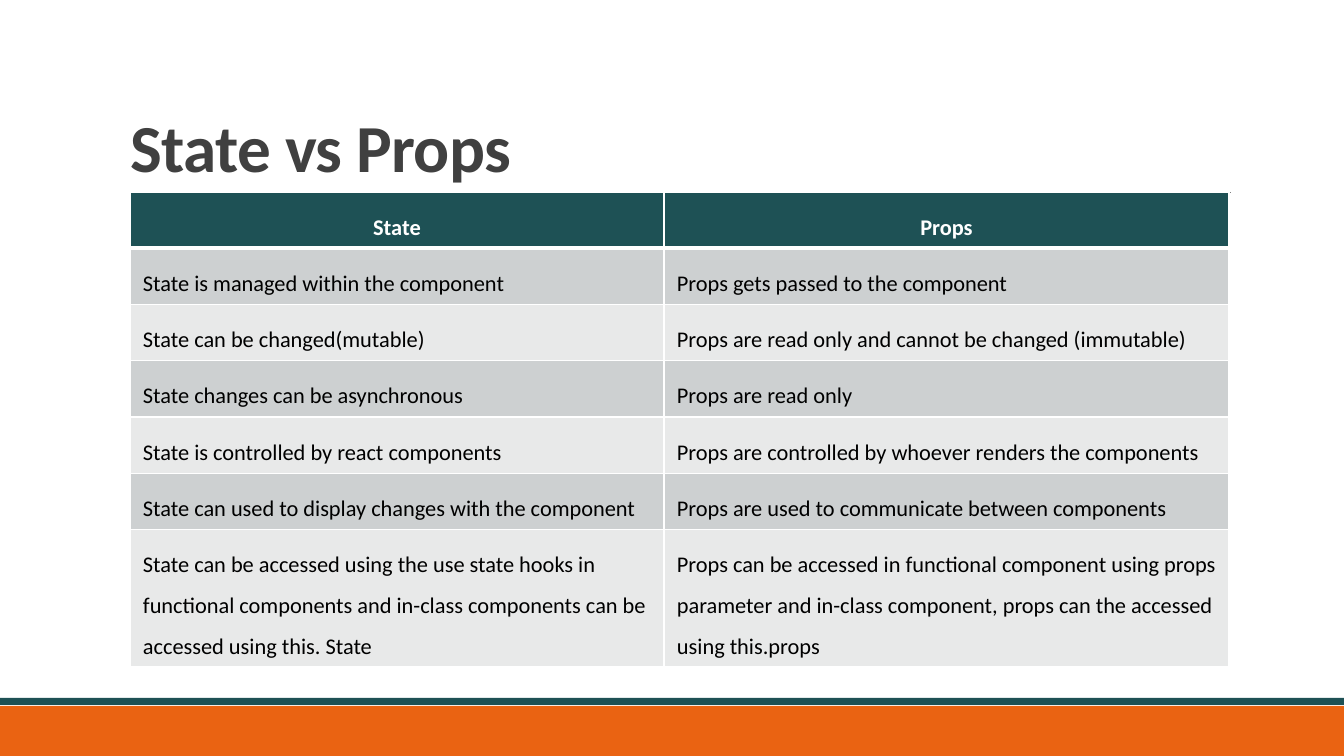
from dataclasses import dataclass

from lxml.etree import SubElement
from pptx import Presentation
from pptx.dml.color import RGBColor
from pptx.enum.shapes import MSO_CONNECTOR, MSO_SHAPE
from pptx.enum.text import MSO_ANCHOR, PP_ALIGN
from pptx.oxml import parse_xml
from pptx.oxml.ns import nsdecls, qn
from pptx.util import Inches, Pt

PIXELS_PER_INCH = 100.8
WIDTH, HEIGHT = 1344, 756


@dataclass(frozen=True)
class Theme:
    font: str = "Calibri"
    title_size: int = 48
    table_size: int = 16
    title: str = "404040"
    teal: str = "1E5155"
    orange: str = "EA6312"
    rule: str = "808080"
    white: str = "FFFFFF"
    body: str = "000000"
    bands: tuple = ("CDD0D1", "E8E9E9")


def px(length):
    """Turn whole pixels into EMU."""
    return Inches(length / PIXELS_PER_INCH)


class SlideBuilder:
    def __init__(self, slide, theme):
        self.slide = slide
        self.theme = theme

    def style_paragraph(self, paragraph, size, color, bold, spacing):
        paragraph.line_spacing = spacing
        for run in paragraph.runs:
            run.font.name = self.theme.font
            run.font.size = Pt(size)
            run.font.bold = bold
            run.font.color.rgb = RGBColor.from_string(color)

    def bar(self, top, height, color):
        shape = self.slide.shapes.add_shape(
            MSO_SHAPE.RECTANGLE, 0, px(top), px(WIDTH), px(height))
        shape.shadow.inherit = False
        shape.fill.solid()
        shape.fill.fore_color.rgb = RGBColor.from_string(color)
        shape.line.fill.background()

    def rule(self, left, right, top):
        connector = self.slide.shapes.add_connector(
            MSO_CONNECTOR.STRAIGHT, px(left), px(top), px(right), px(top))
        connector.line.color.rgb = RGBColor.from_string(self.theme.rule)
        connector.line.width = Pt(0.5)
        SubElement(connector._element.spPr, qn("a:effectLst"))

    def title(self, text, left, top, width, height):
        box = self.slide.shapes.add_textbox(px(left), px(top), px(width), px(height))
        frame = box.text_frame
        frame.word_wrap = True
        frame.vertical_anchor = MSO_ANCHOR.BOTTOM
        frame.text = text
        paragraph = frame.paragraphs[0]
        self.style_paragraph(paragraph, self.theme.title_size, self.theme.title, True, 0.85)
        paragraph.runs[0].font._element.set("spc", "-50")

    def table(self, rows, left, top, column_widths, row_height):
        """Add a table with a header row; rows grow to fit their text."""
        table = self.slide.shapes.add_table(
            len(rows), len(column_widths), px(left), px(top),
            px(sum(column_widths)), px(row_height * len(rows))).table
        for column, width in zip(table.columns, column_widths):
            column.width = px(width)
        for row_index, texts in enumerate(rows):
            for column_index, text in enumerate(texts):
                self.cell(table.cell(row_index, column_index), text, row_index)

    def cell(self, cell, text, row_index):
        theme = self.theme
        header = row_index == 0
        cell.text = text
        cell.vertical_anchor = MSO_ANCHOR.MIDDLE
        cell.margin_left = cell.margin_right = px(13)
        cell.margin_top = cell.margin_bottom = px(8)
        cell.fill.solid()
        fill = theme.teal if header else theme.bands[(row_index - 1) % 2]
        cell.fill.fore_color.rgb = RGBColor.from_string(fill)
        paragraph = cell.text_frame.paragraphs[0]
        paragraph.alignment = PP_ALIGN.CENTER if header else PP_ALIGN.LEFT
        color = theme.white if header else theme.body
        self.style_paragraph(paragraph, theme.table_size, color, header, 1.5)
        self.borders(cell, top=3 if row_index == 1 else 1, bottom=3 if header else 1)

    def borders(self, cell, top, bottom):
        properties = cell._tc.get_or_add_tcPr()
        sides = (("lnL", 1), ("lnR", 1), ("lnT", top), ("lnB", bottom))
        for position, (side, width) in enumerate(sides):
            properties.insert(position, parse_xml(
                f'<a:{side} {nsdecls("a")} w="{Pt(width)}"><a:solidFill>'
                f'<a:srgbClr val="{self.theme.white}"/></a:solidFill></a:{side}>'))


COMPARISON = [
    ("State", "Props"),
    ("State is managed within the component", "Props gets passed to the component"),
    ("State can be changed(mutable)",
     "Props are read only and cannot be changed (immutable)"),
    ("State changes can be asynchronous", "Props are read only"),
    ("State is controlled by react components",
     "Props are controlled by whoever renders the components"),
    ("State can used to display changes with the component",
     "Props are used to communicate between components"),
    ("State can be accessed using the use state hooks in functional components "
     "and in-class components can be accessed using this. State",
     "Props can be accessed in functional component using props parameter "
     "and in-class component, props can the accessed using this.props"),
]


def main():
    presentation = Presentation()
    presentation.slide_width, presentation.slide_height = px(WIDTH), px(HEIGHT)
    slide = presentation.slides.add_slide(presentation.slide_layouts[6])
    theme = Theme()
    builder = SlideBuilder(slide, theme)
    builder.bar(706, 50, theme.orange)
    builder.bar(698, 7, theme.teal)
    builder.rule(132, 1231, 192)
    builder.title("State vs Props", 121, 31, 1109, 160)
    builder.table(COMPARISON, 130, 192, (534, 565), 41)
    presentation.save("out.pptx")


if __name__ == "__main__":
    main()
